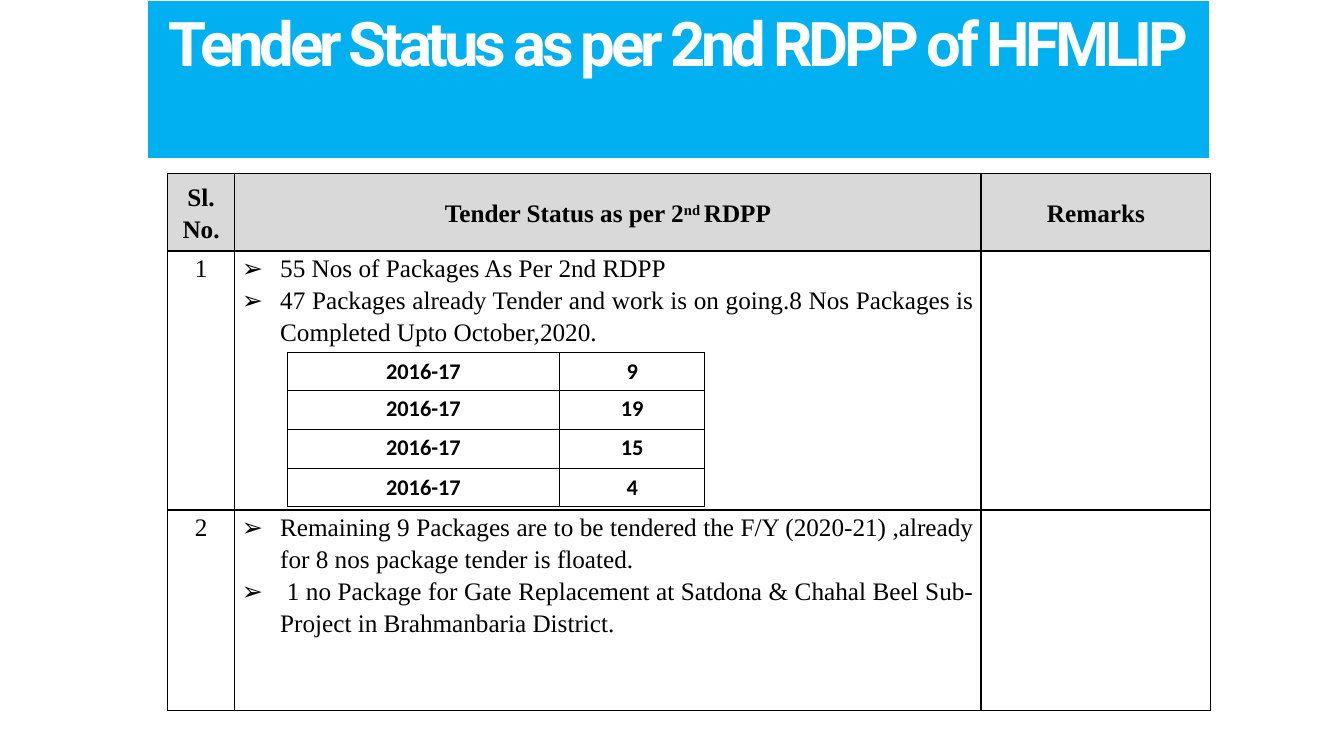
from lxml import etree
from pptx import Presentation
from pptx import util as u
from pptx.dml.color import RGBColor
from pptx.enum import text
from pptx.oxml import ns

BLACK = RGBColor(0, 0, 0)
WHITE = RGBColor(255, 255, 255)
HEADER_GREY = RGBColor(0xD9, 0xD9, 0xD9)
BANNER_BLUE = RGBColor(0x00, 0xB0, 0xF0)

TITLE = "Tender Status as per 2nd RDPP of HFMLIP"
HEADINGS = ["Sl. No.", ("Tender Status as per 2", "nd ", "RDPP"), "Remarks"]
STATUS = [
    ("1", ["55 Nos of Packages As Per 2nd RDPP",
           "47 Packages already Tender and work is on going.8 Nos Packages is "
           "Completed Upto October,2020."]),
    ("2", ["Remaining 9 Packages are to be tendered the F/Y (2020-21) ,already "
           "for 8 nos package tender is floated.",
           " 1 no Package for Gate Replacement at Satdona & Chahal Beel "
           "Sub-Project in Brahmanbaria District."]),
]
YEARS = [("2016-17", "9"), ("2016-17", "19"), ("2016-17", "15"), ("2016-17", "4")]

BODY_FONT = {"name": "Times New Roman", "size": u.Pt(18), "bold": False}
HEAD_FONT = {**BODY_FONT, "bold": True}
YEAR_FONT = {"name": "Calibri", "size": u.Pt(16), "bold": True}
TITLE_FONT = {"name": "Roboto", "size": u.Pt(44), "bold": True}
TIGHT = {"margin_left": u.Inches(0.07), "margin_right": u.Inches(0.07),
         "margin_top": 0, "margin_bottom": 0}
CENTER, JUSTIFY = text.PP_ALIGN.CENTER, text.PP_ALIGN.JUSTIFY
MIDDLE = text.MSO_ANCHOR.MIDDLE


def apply(target, values):
    for name, value in values.items():
        setattr(target, name, value)


def add_run(paragraph, words, font, color=BLACK):
    run = paragraph.add_run()
    run.text = words
    apply(run.font, font)
    run.font.color.rgb = color
    return run


def set_borders(cell):
    """Draw a 1 pt black line on all four sides."""
    properties = cell._tc.get_or_add_tcPr()
    for position, side in enumerate("LRTB"):
        line = etree.Element(ns.qn(f"a:ln{side}"), w=str(u.Pt(1)))
        fill = etree.SubElement(line, ns.qn("a:solidFill"))
        etree.SubElement(fill, ns.qn("a:srgbClr"), val=str(BLACK))
        properties.insert(position, line)


def add_grid(slide, left, top, widths, heights):
    """Add an unstyled table with black borders."""
    grid = slide.shapes.add_table(
        len(heights), len(widths), u.Inches(left), u.Inches(top),
        u.Inches(sum(widths)), u.Inches(sum(heights))).table
    apply(grid, {"first_row": False, "horz_banding": False})
    for column, width in zip(grid.columns, widths):
        column.width = u.Inches(width)
    for row, height in zip(grid.rows, heights):
        row.height = u.Inches(height)
    for cell in grid.iter_cells():
        cell.fill.background()
        set_borders(cell)
    return grid


def add_bullet(paragraph):
    properties = paragraph._p.get_or_add_pPr()
    indent = u.Inches(0.38)
    properties.set("marL", str(indent))
    properties.set("indent", str(-indent))
    etree.SubElement(properties, ns.qn("a:buFont"), typeface="Wingdings")
    etree.SubElement(properties, ns.qn("a:buChar"), char="➢")
    properties.find(ns.qn("a:buFont")).set("typeface", "Arial")


def add_title(slide):
    banner = slide.shapes.title
    apply(banner, {"left": u.Inches(1.46), "top": 0,
                   "width": u.Inches(10.54), "height": u.Inches(1.58)})
    banner.fill.solid()
    banner.fill.fore_color.rgb = BANNER_BLUE
    banner.line.color.rgb = WHITE
    banner.line.width = u.Pt(1.5)
    apply(banner.text_frame, {"vertical_anchor": text.MSO_ANCHOR.TOP, "word_wrap": True,
                              "auto_size": text.MSO_AUTO_SIZE.NONE})
    paragraph = banner.text_frame.paragraphs[0]
    paragraph.alignment = CENTER
    run = add_run(paragraph, TITLE, TITLE_FONT, WHITE)
    run.font._element.set("spc", "-300")


def add_status_table(slide):
    grid = add_grid(slide, 1.66, 1.72, [0.67, 7.4, 2.28], [0.77, 2.57, 1.99])
    for cell in grid.iter_cells():
        apply(cell, TIGHT)
    for column, heading in enumerate(HEADINGS):
        cell = grid.cell(0, column)
        cell.vertical_anchor = MIDDLE
        cell.fill.solid()
        cell.fill.fore_color.rgb = HEADER_GREY
        paragraph = cell.text_frame.paragraphs[0]
        apply(paragraph, {"alignment": CENTER, "line_spacing": 1.15})
        parts = [heading] if isinstance(heading, str) else heading
        for part in parts:
            run = add_run(paragraph, part, HEAD_FONT)
            if part == "nd ":
                run.font._element.set("baseline", "30000")
    for row, (number, points) in enumerate(STATUS, 1):
        paragraph = grid.cell(row, 0).text_frame.paragraphs[0]
        apply(paragraph, {"alignment": CENTER, "line_spacing": 1.15})
        add_run(paragraph, number, BODY_FONT)
        frame = grid.cell(row, 1).text_frame
        for index, point in enumerate(points):
            paragraph = frame.add_paragraph() if index else frame.paragraphs[0]
            add_bullet(paragraph)
            apply(paragraph, {"alignment": JUSTIFY, "line_spacing": 1.15})
            add_run(paragraph, point, BODY_FONT)


def add_year_table(slide):
    grid = add_grid(slide, 2.85, 3.5, [2.7, 1.44], [0.36, 0.39, 0.39, 0.36])
    for row, values in enumerate(YEARS):
        for column, value in enumerate(values):
            paragraph = grid.cell(row, column).text_frame.paragraphs[0]
            paragraph.alignment = CENTER
            add_run(paragraph, value, YEAR_FONT)


def main():
    deck = Presentation()
    apply(deck, {"slide_width": u.Inches(13.33), "slide_height": u.Inches(7.5)})
    slide = deck.slides.add_slide(deck.slide_layouts.get_by_name("Title Only"))
    add_title(slide)
    add_status_table(slide)
    add_year_table(slide)
    deck.save("out.pptx")


if __name__ == "__main__":
    main()
